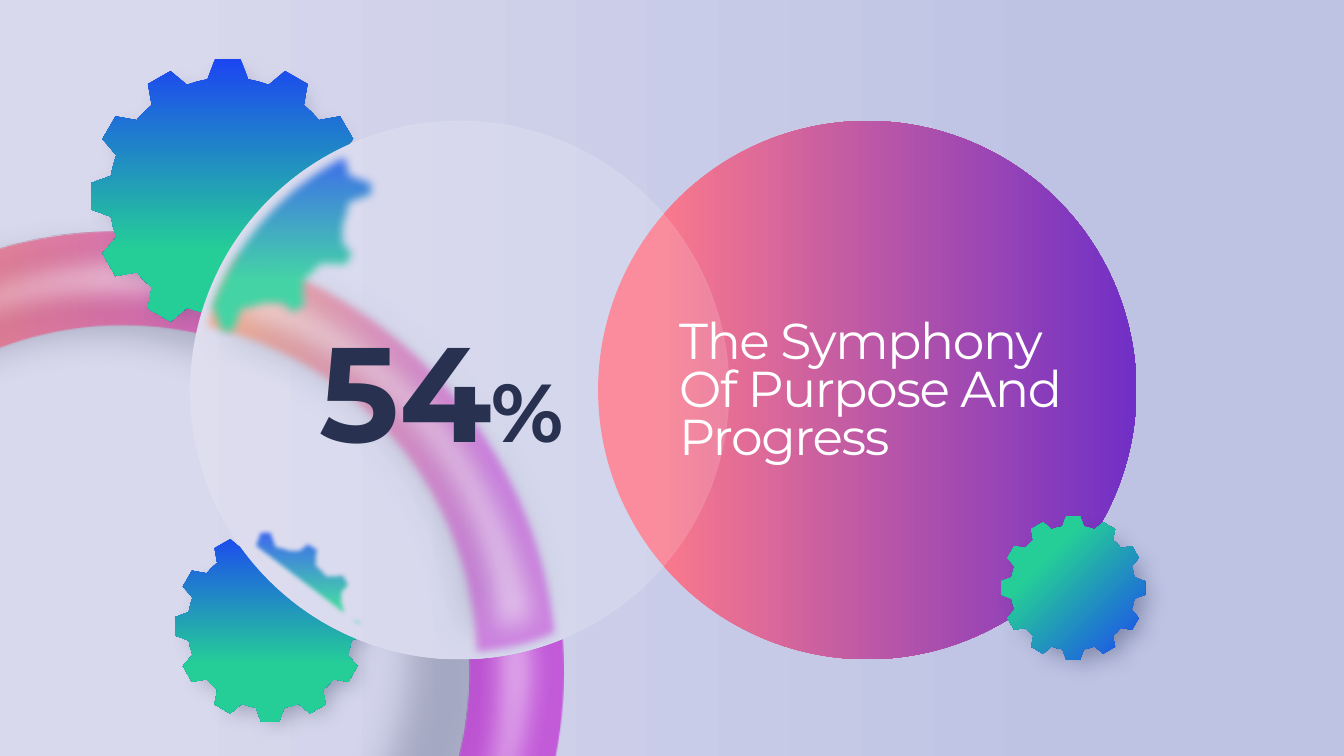
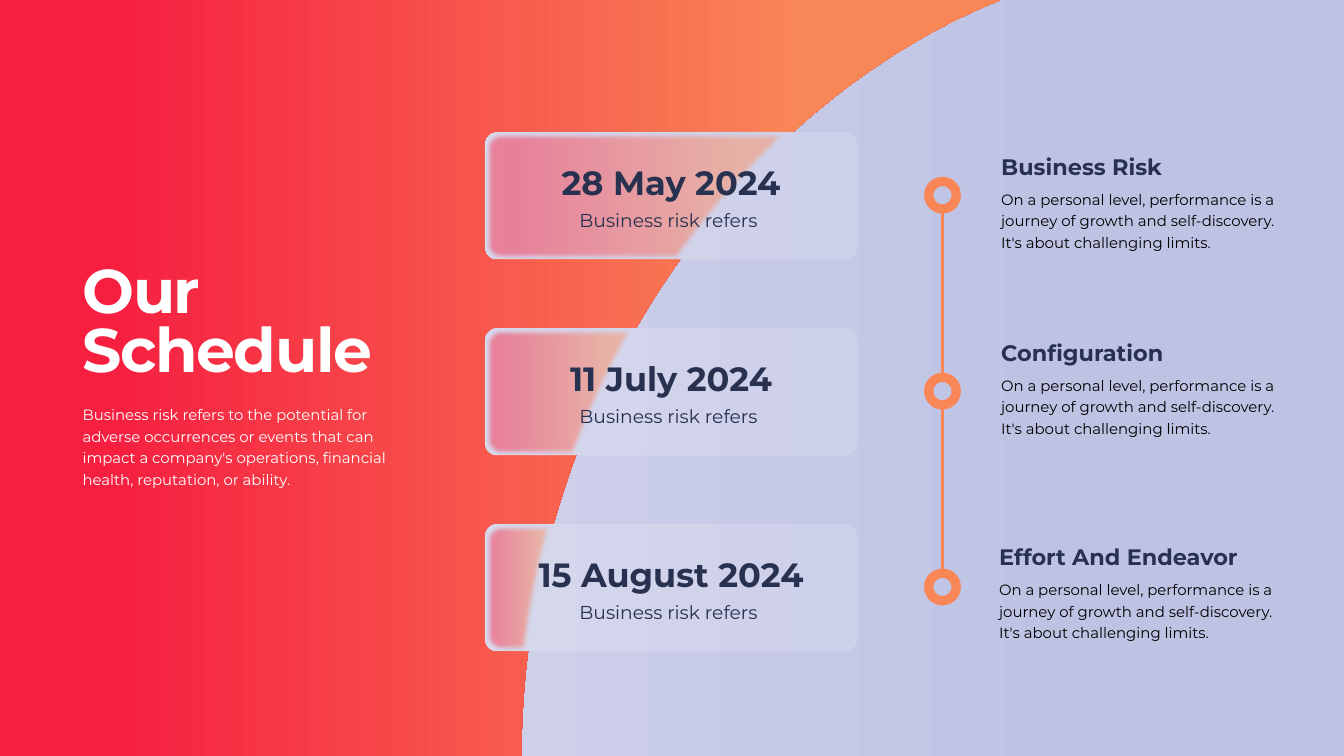
from math import atan2, cos, degrees, dist, pi, radians, sin, tan

from lxml import etree
from pptx import Presentation
from pptx.dml.color import RGBColor
from pptx.enum.shapes import MSO_CONNECTOR, MSO_SHAPE
from pptx.enum.text import MSO_AUTO_SIZE, PP_ALIGN
from pptx.oxml.ns import qn
from pptx.util import Inches, Pt

OVAL, DONUT, ROUNDED = MSO_SHAPE.OVAL, MSO_SHAPE.DONUT, MSO_SHAPE.ROUNDED_RECTANGLE
STRAIGHT = MSO_CONNECTOR.STRAIGHT
LEFT, CENTER = PP_ALIGN.LEFT, PP_ALIGN.CENTER
GROW = MSO_AUTO_SIZE.SHAPE_TO_FIT_TEXT

FONT = "Montserrat"
NAVY = RGBColor(0x28, 0x32, 0x50)
WHITE = RGBColor(0xFF, 0xFF, 0xFF)
BLACK = RGBColor(0, 0, 0)
MIST = RGBColor(0xD9, 0xD9, 0xED)
LAVENDER = RGBColor(0xBE, 0xC3, 0xE4)
ORANGE = RGBColor(0xF9, 0x86, 0x57)
RED = RGBColor(0xF6, 0x1F, 0x40)
MAGENTA = RGBColor(0xC1, 0x3C, 0xD5)
PINK = RGBColor(0xFA, 0x79, 0x8C)
VIOLET = RGBColor(0x70, 0x2F, 0xC6)
BLUE = RGBColor(0x1C, 0x46, 0xF2)
GREEN = RGBColor(0x25, 0xCE, 0x97)

# Gradients: two (position, colour) stops, then the clockwise angle
BACKDROP = ((0.11, MIST), (0.8, LAVENDER), 0)
RING = ((0.11, ORANGE), (0.8, MAGENTA), 0)
GEAR = ((0, BLUE), (0.7, GREEN), 90)
GEAR_TURNED = ((0, BLUE), (0.7, GREEN), 225)
SUNSET = ((0.11, RED), (0.8, ORANGE), 0)
BERRY = ((0.11, PINK), (1, VIOLET), 0)

# Shadows: opacity in percent, blur and distance in points, direction in degrees
GEAR_SHADOW = (40, 25, 27, 45)
RING_SHADOW = (33, 39, 29, 45)


def set_alpha(element, percent):
    for color in element.iter(qn("a:srgbClr")):
        etree.SubElement(color, qn("a:alpha"), val=str(percent * 1000))


def paint(fill, color):
    """Fill with one colour or with a gradient."""
    if isinstance(color, RGBColor):
        fill.solid()
        fill.fore_color.rgb = color
        return
    *stops, angle = color
    fill.gradient()
    fill.gradient_angle = -angle % 360
    for stop, (position, stop_color) in zip(fill.gradient_stops, stops):
        stop.position = position
        stop.color.rgb = stop_color


def style(shape, color, alpha=None, line=None, line_width=1.5, line_alpha=None,
          shadow=None, soft=None):
    """Format a shape; without a colour it shows the slide background."""
    properties = shape._element.spPr
    if color is None:
        shape._element.set("useBgFill", "1")
    else:
        paint(shape.fill, color)
    if alpha:
        set_alpha(properties, alpha)
    if line is None:
        shape.line.fill.background()
    else:
        shape.line.color.rgb = line
        shape.line.width = Pt(line_width)
        if line_alpha:
            set_alpha(properties.find(qn("a:ln")), line_alpha)
    shape.shadow.inherit = False
    effects = properties.find(qn("a:effectLst"))
    if shadow:
        opacity, blur, distance, direction = shadow
        outer = etree.SubElement(
            effects, qn("a:outerShdw"), blurRad=str(Pt(blur)), dist=str(Pt(distance)),
            dir=str(direction * 60000), sx="90000", sy="90000", algn="tl", rotWithShape="0")
        etree.SubElement(outer, qn("a:srgbClr"), val=str(NAVY))
        set_alpha(outer, opacity)
    if soft:
        etree.SubElement(effects, qn("a:softEdge"), rad=str(Pt(soft)))


def add_preset(slide, kind, box, color, adjust=None, **look):
    shape = slide.shapes.add_shape(kind, *map(Inches, box))
    if adjust is not None:
        shape.adjustments[0] = adjust
    style(shape, color, **look)


def add_outline(slide, parts, color, **look):
    """Draw a closed outline of points and of curves, each curve three points."""
    curves = [isinstance(part[0], tuple) for part in parts]
    points = []
    for part, curved in zip(parts, curves):
        points += part if curved else [part]
    corners = [(Inches(x), Inches(y)) for x, y in points]
    builder = slide.shapes.build_freeform(*corners[0])
    builder.add_line_segments(corners[1:], close=True)
    shape = builder.convert_to_shape()
    segments = iter(list(shape._element.iter(qn("a:lnTo"))))
    for curved in curves[1:]:
        segment = next(segments)
        if curved:
            segment.tag = qn("a:cubicBezTo")
            for extra in (next(segments), next(segments)):
                segment.append(extra[0])
                extra.getparent().remove(extra)
    style(shape, color, **look)


def add_text(slide, box, paragraphs, color=NAVY, align=LEFT, spacing=None, tracking=None,
             bold=False, size=16):
    """Write paragraphs, each a string or a list of (text, size) runs."""
    frame = slide.shapes.add_textbox(*map(Inches, box)).text_frame
    frame.word_wrap = True
    frame.auto_size = GROW
    for index, content in enumerate(paragraphs):
        paragraph = frame.add_paragraph() if index else frame.paragraphs[0]
        paragraph.alignment = align
        paragraph.line_spacing = spacing
        runs = [(content, size)] if isinstance(content, str) else content
        for words, run_size in runs:
            run = paragraph.add_run()
            run.text = words
            font = run.font
            font.name, font.size, font.bold = FONT, Pt(run_size), bold
            font.color.rgb = color
            if tracking:
                run._r.get_or_add_rPr().set("spc", str(int(tracking * 100)))


def arc(center, radius, start, end):
    """Start point and curve of a circular arc, in degrees clockwise from the right."""
    a, b = radians(start), radians(end)
    pull = 4 / 3 * tan((b - a) / 4)
    (x0, y0), (x3, y3) = [(center[0] + radius * cos(t), center[1] + radius * sin(t))
                          for t in (a, b)]
    return [(x0, y0), ((x0 - pull * radius * sin(a), y0 + pull * radius * cos(a)),
                       (x3 + pull * radius * sin(b), y3 - pull * radius * cos(b)),
                       (x3, y3))]


def gear_points(center, radius, teeth=12):
    """Outline of a gear, clockwise from the left foot of its top tooth."""
    valley = pi / teeth
    profile = [(-0.148, -0.853), (-0.095, -1), (0.095, -1), (0.148, -0.853),
               (0.866 * sin(valley), -0.866 * cos(valley))]
    points = []
    for tooth in range(teeth):
        turn = 2 * pi * tooth / teeth
        points += [(center[0] + radius * (x * cos(turn) - y * sin(turn)),
                    center[1] + radius * (x * sin(turn) + y * cos(turn)))
                   for x, y in profile]
    return points


def clip_to_lens(points, center, radius):
    """Keep the run of points inside the lens and close it along the lens edge."""
    inside = [point for point in points if dist(point, center) < radius]
    start, end = [degrees(atan2(y - center[1], x - center[0]))
                  for x, y in (inside[-1], inside[0])]
    return inside + arc(center, radius, start, end)


def curve_point(curve, *shares):
    """Blend a cubic curve's four points with one share for each step."""
    points = curve
    for t in shares:
        points = [tuple(p + (q - p) * t for p, q in zip(a, b))
                  for a, b in zip(points, points[1:])]
    return points[0]


def share_at(curve, y):
    """Share of a falling curve at which it reaches the height y."""
    low, high = 0, 1
    for _ in range(40):
        t = (low + high) / 2
        low, high = (t, high) if curve_point(curve, t, t, t)[1] < y else (low, t)
    return low


def new_slide(deck):
    slide = deck.slides.add_slide(deck.slide_layouts[6])
    paint(slide.background.fill, BACKDROP)
    return slide


def add_ring(slide, box):
    left, top, width, height = box
    rim = 0.11
    add_preset(slide, DONUT, box, RING, adjust=0.107, alpha=78, shadow=RING_SHADOW)
    add_preset(slide, DONUT, (left + rim, top + rim, width - 2 * rim, height - 2 * rim),
               WHITE, adjust=0.09, alpha=56, soft=28)


def add_lens(slide, box):
    """Glass disc with the blurred parts of the ring and gears seen through it."""
    left, top, width, height = box
    center = (left + width / 2, top + height / 2)
    add_preset(slide, OVAL, box, None)
    for shift_x, shift_y, color, alpha, soft in ((0, 0, RING, 67, 9),
                                                 (0.02, 0.04, WHITE, 54, 29)):
        x, y = left + shift_x, top + shift_y
        band = [(x + 0.64, y + 1.84), (x + 0.95, y + 1.93),
                ((x + 3.41, y + 2.7), (x + 5.25, y + 4.87), (x + 5.52, y + 7.52)),
                (x + 5.53, y + 7.71), (x + 5.2, y + 7.84),
                ((x + 4.89, y + 7.93), (x + 4.56, y + 7.99), (x + 4.21, y + 8.01)),
                (x + 4.15, y + 8.01), (x + 4.14, y + 7.92),
                ((x + 4.03, y + 5.64), (x + 2.43, y + 3.75), (x + 0.29, y + 3.2)),
                (x + 0.09, y + 3.15), (x + 0.18, y + 2.82),
                ((x + 0.26, y + 2.56), (x + 0.36, y + 2.32), (x + 0.49, y + 2.1))]
        add_outline(slide, band, color, alpha=alpha, soft=soft, shadow=RING_SHADOW)
    for gear_center, radius, soft in (((3.39, 2.81), 2.25, 10), ((3.95, 9.32), 1.46, 5)):
        add_outline(slide, clip_to_lens(gear_points(gear_center, radius), center, 4.05),
                    GEAR, soft=soft)


def build_share_slide(deck):
    slide = new_slide(deck)
    lens_box = (2.83, 1.8, 8.02, 8.01)
    add_ring(slide, (-4.72, 3.44, 13.1, 13.1))
    for center, radius in (((4.02, 9.32), 1.42), ((3.39, 2.92), 2.04)):
        add_outline(slide, gear_points(center, radius), GEAR, shadow=GEAR_SHADOW)
    add_lens(slide, lens_box)
    add_preset(slide, OVAL, (8.9, 1.8, 8.01, 8.01), BERRY)
    add_text(slide, (10.01, 4.72, 6.17, 2.57), ["The Symphony Of Purpose And Progress"],
             size=54, color=WHITE, spacing=0.8, tracking=-1.5)
    add_outline(slide, gear_points((15.97, 8.75), 1.07), GEAR_TURNED, shadow=GEAR_SHADOW)
    add_preset(slide, OVAL, lens_box, WHITE, alpha=15, line=WHITE, line_alpha=5)
    add_text(slide, (3.86, 4.54, 5.42, 2.81), [[("54", 144), ("%", 88)]],
             bold=True, align=CENTER)


def add_date_card(slide, box, panel_edge):
    left, top, width, height = box
    bottom, corner = top + height, 0.18
    add_preset(slide, ROUNDED, box, None, adjust=0.096)
    a, b = share_at(panel_edge, top), share_at(panel_edge, bottom)
    tint = [curve_point(panel_edge, a, a, a),
            tuple(curve_point(panel_edge, *shares)
                  for shares in ((a, a, b), (a, b, b), (b, b, b)))]
    tint += arc((left + corner, bottom - corner), corner, 90, 180)
    tint += arc((left + corner, top + corner), corner, 180, 270)
    add_outline(slide, tint, SUNSET, alpha=56, soft=5)
    add_preset(slide, ROUNDED, box, WHITE, adjust=0.096, alpha=15, line=WHITE, line_alpha=5)


def add_date_text(slide, box, date):
    left, top, width, height = box
    inset = 0.51
    line_width = width - 2 * inset
    add_text(slide, (left + inset, top + 0.39, line_width, 0.71), [date],
             size=36, bold=True, align=CENTER)
    add_text(slide, (left + inset, top + 1.09, line_width, 0.44), ["Business risk refers "],
             size=20, align=CENTER)


def add_timeline(slide, left, tops, size=0.41):
    for top in tops:
        add_preset(slide, OVAL, (left, top, size, size), None, line=ORANGE, line_width=10)
    middle = Inches(left + size / 2)
    for top, next_top in zip(tops, tops[1:]):
        link = slide.shapes.add_connector(STRAIGHT, middle, Inches(top + size),
                                          middle, Inches(next_top))
        link.line.color.rgb = ORANGE
        link.line.width = Pt(3)
        etree.SubElement(link._element.spPr, qn("a:effectLst"))


def add_topic(slide, left, top, heading):
    add_text(slide, (left, top, 4.49, 0.5), [heading], size=24, bold=True)
    add_text(slide, (left, top + 0.5, 4.47, 1.07),
             ["On a personal level, performance is a journey of growth and self-discovery. "
              "It's about challenging limits."], color=BLACK, spacing=1.2)


def build_schedule_slide(deck):
    slide = new_slide(deck)
    panel_edge = ((14.89, 0), (11.07, 1.53), (7.78, 5.88), (7.76, 11.25))
    add_outline(slide, [(0, 0), panel_edge[0], panel_edge[1:], (0, 11.25)], SUNSET)
    dates = ("28 May 2024", "11 July 2024", "15 August 2024")
    first_top, last_top = 1.97, 7.8
    pitch = (last_top - first_top) / (len(dates) - 1)
    cards = [(7.22, first_top + pitch * row, 5.53, 1.89) for row in range(len(dates))]
    for card in cards:
        add_date_card(slide, card, panel_edge)
    for card, date in zip(cards, dates):
        add_date_text(slide, card, date)
    add_timeline(slide, 13.82, [card[1] + 0.73 for card in cards])
    for left, top, heading in ((14.8, 2.23, "Business Risk"), (14.8, 5, "Configuration"),
                               (14.77, 8.04, "Effort And Endeavor")):
        add_topic(slide, left, top, heading)
    add_text(slide, (1.13, 3.91, 4.8, 1.91), ["Our", "Schedule"], size=66, color=WHITE,
             bold=True, spacing=0.8, tracking=-1.5)
    add_text(slide, (1.13, 5.94, 4.72, 1.39),
             ["Business risk refers to the potential for adverse occurrences or events that "
              "can impact a company's operations, financial health, reputation, or ability."],
             color=WHITE, spacing=1.2)


def main():
    deck = Presentation()
    deck.slide_width, deck.slide_height = Inches(20), Inches(11.25)
    build_share_slide(deck)
    build_schedule_slide(deck)
    deck.save("out.pptx")


if __name__ == "__main__":
    main()
